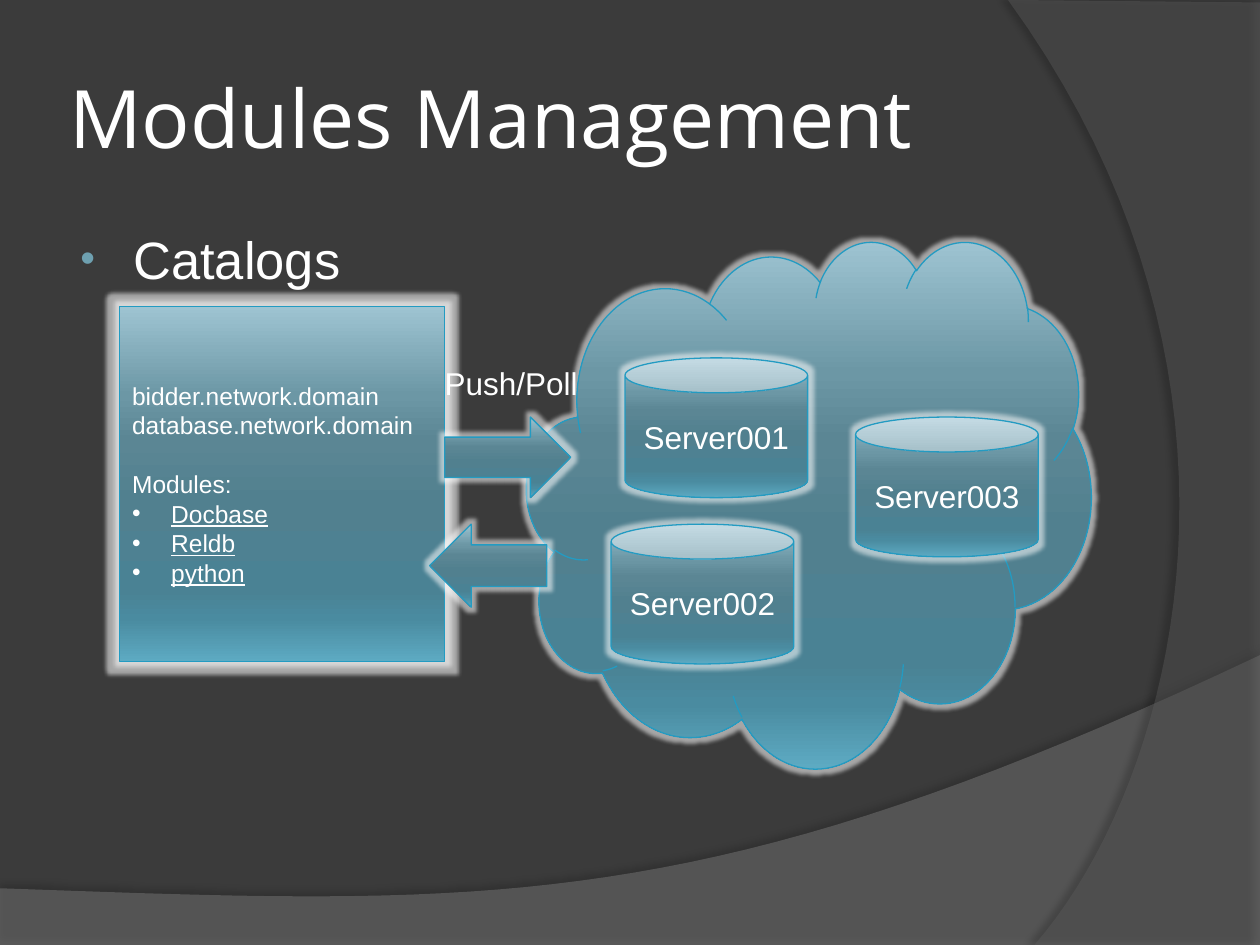
import pptx
import pptx.util
import pptx.dml.color
import pptx.enum.shapes
import pptx.enum.text
import pptx.oxml
import pptx.oxml.ns

Inches = pptx.util.Inches
Pt = pptx.util.Pt
SHAPE = pptx.enum.shapes.MSO_SHAPE
ANCHOR = pptx.enum.text.MSO_ANCHOR
ALIGN = pptx.enum.text.PP_ALIGN
NAMESPACE = pptx.oxml.ns.nsdecls("a")
STOPS = [(0, "9EC4D2"), (25, "6C97A5"), (38, "5B8694"), (55, "51808F"),
         (80, "4A8294"), (88, "4A8BA0"), (100, "5DAAC2")]


def color(value):
    return pptx.dml.color.RGBColor.from_string(value)


def add_xml(parent, xml):
    head, tail = xml.split(">", 1)
    element = pptx.oxml.parse_xml(f"{head} {NAMESPACE}>{tail}")
    parent.append(element)
    return element


deck = pptx.Presentation()
deck.slide_width, deck.slide_height = Inches(10), Inches(7.5)
page = deck.slides.add_slide(deck.slide_layouts[6])
page.background.fill.solid()
page.background.fill.fore_color.rgb = color("3B3B3B")

swooshes = [
    ([(10, 5.2), (5.59, 7.29), (3.91, 7.19), (0, 7.05)],
     [(0, 7.5), (10, 7.5)], "7F7F7F", 45, 35, 3.5, 270),
    ([(8.21, 7.5), (9.35, 6.19), (10.18, 3), (8, 0)],
     [(10, 0.02), (10, 7.5)], "5E5E5E", 40, 45, 4, 180),
]
for curve, corners, fill, alpha, shade, distance, angle in swooshes:
    points = []
    for step in range(41):
        t = step / 40
        weights = [(1 - t) ** 3, 3 * t * (1 - t) ** 2, 3 * t * t * (1 - t), t ** 3]
        points.append([sum(w * p[axis] for w, p in zip(weights, curve))
                       for axis in (0, 1)])
    outline = [(Inches(x), Inches(y)) for x, y in points + corners]
    builder = page.shapes.build_freeform(*outline[0])
    builder.add_line_segments(outline[1:], close=True)
    swoosh = builder.convert_to_shape()
    swoosh.fill.solid()
    swoosh.fill.fore_color.rgb = color(fill)
    properties = swoosh._element.spPr
    add_xml(properties.find(".//" + pptx.oxml.ns.qn("a:srgbClr")),
            f'<a:alpha val="{alpha * 1000}"></a:alpha>')
    swoosh.line.fill.background()
    add_xml(properties,
            f'<a:effectLst><a:outerShdw blurRad="{Pt(4)}" dist="{Pt(distance)}" '
            f'dir="{angle * 60000}"><a:srgbClr val="000000">'
            f'<a:alpha val="{shade * 1000}"/></a:srgbClr></a:outerShdw></a:effectLst>')

labels = [
    ("Modules Management", 0.5, 0.3, 8.17, 1.25, 46, "Open Sans"),
    ("Catalogs", 0.5, 1.75, 8.17, 0.7, 30, "Arial"),
    ("Push/Poll", 3.43, 2.84, 1.27, 0.4, 18, "Arial"),
]
boxes = {}
for text, left, top, width, height, size, font in labels:
    box = page.shapes.add_textbox(Inches(left), Inches(top), Inches(width), Inches(height))
    box.text_frame.word_wrap = text != "Push/Poll"
    box.text_frame.text = text
    span = box.text_frame.paragraphs[0].runs[0]
    span.font.size = Pt(size)
    span.font.name = font
    span.font.color.rgb = color("FFFFFF")
    boxes[text] = box

title = boxes["Modules Management"].text_frame
title.vertical_anchor = ANCHOR.MIDDLE
title.margin_left = title.margin_right = Inches(0.05)
catalogs = boxes["Catalogs"].text_frame.paragraphs[0]
catalogs.space_before = Pt(6)
marks = catalogs._p.get_or_add_pPr()
marks.set("marL", str(Inches(0.46)))
marks.set("indent", str(Inches(-0.42)))
add_xml(marks, '<a:buClr><a:srgbClr val="6EA0B0"/></a:buClr>')
add_xml(marks, '<a:buSzPct val="80000"></a:buSzPct>')
add_xml(marks, '<a:buFont typeface="Arial"></a:buFont>')
add_xml(marks, '<a:buChar char="•"></a:buChar>')

modules = ["Docbase", "Reldb", "python"]
catalog_lines = ["bidder.network.domain", "database.network.domain", "Modules:"] + modules
figures = [
    (SHAPE.RECTANGLE, 0.95, 2.43, 2.58, 2.82, catalog_lines, 14),
    (SHAPE.CLOUD, 4.18, 1.91, 4.48, 4.18, [], 18),
    (SHAPE.CAN, 4.96, 2.84, 1.45, 1.11, ["Server001"], 18),
    (SHAPE.CAN, 4.85, 4.16, 1.45, 1.11, ["Server002"], 18),
    (SHAPE.CAN, 6.79, 3.31, 1.45, 1.11, ["Server003"], 18),
    (SHAPE.RIGHT_ARROW, 3.53, 3.31, 1, 0.64, [], 18),
    (SHAPE.LEFT_ARROW, 3.41, 4.16, 0.93, 0.66, [], 18),
]
stops = "".join(f'<a:gs pos="{place * 1000}"><a:srgbClr val="{value}"/></a:gs>'
                for place, value in STOPS)
for kind, left, top, width, height, lines, size in figures:
    figure = page.shapes.add_shape(kind, Inches(left), Inches(top),
                                   Inches(width), Inches(height))
    figure.line.color.rgb = color("239BC2")
    figure.line.width = Pt(0.75)
    properties = figure._element.spPr
    gradient = add_xml(properties, f'<a:gradFill rotWithShape="1"><a:gsLst>{stops}</a:gsLst>'
                                   '<a:lin ang="5400000" scaled="0"/></a:gradFill>')
    properties.find(pptx.oxml.ns.qn("a:ln")).addprevious(gradient)
    add_xml(properties, f'<a:effectLst><a:glow rad="{Pt(5)}"><a:srgbClr val="FFFFFF">'
                        '<a:alpha val="55000"/></a:srgbClr></a:glow></a:effectLst>')
    if not lines:
        continue
    frame = figure.text_frame
    frame.vertical_anchor = ANCHOR.MIDDLE
    frame.text = "\n".join(lines)
    for para in frame.paragraphs:
        para.alignment = ALIGN.LEFT if kind == SHAPE.RECTANGLE else ALIGN.CENTER
        span = para.runs[0]
        span.font.size = Pt(size)
        span.font.name = "Arial"
        span.font.color.rgb = color("FFFFFF")
        if span.text == "Modules:":
            para.space_before = Pt(17)
        if span.text in modules:
            span.font.underline = True
            marks = para._p.get_or_add_pPr()
            marks.set("marL", str(Inches(0.31)))
            marks.set("indent", str(Inches(-0.31)))
            add_xml(marks, '<a:buFont typeface="Arial"></a:buFont>')
            add_xml(marks, '<a:buChar char="•"></a:buChar>')

page.shapes._spTree.append(boxes["Push/Poll"]._element)
deck.save("out.pptx")
